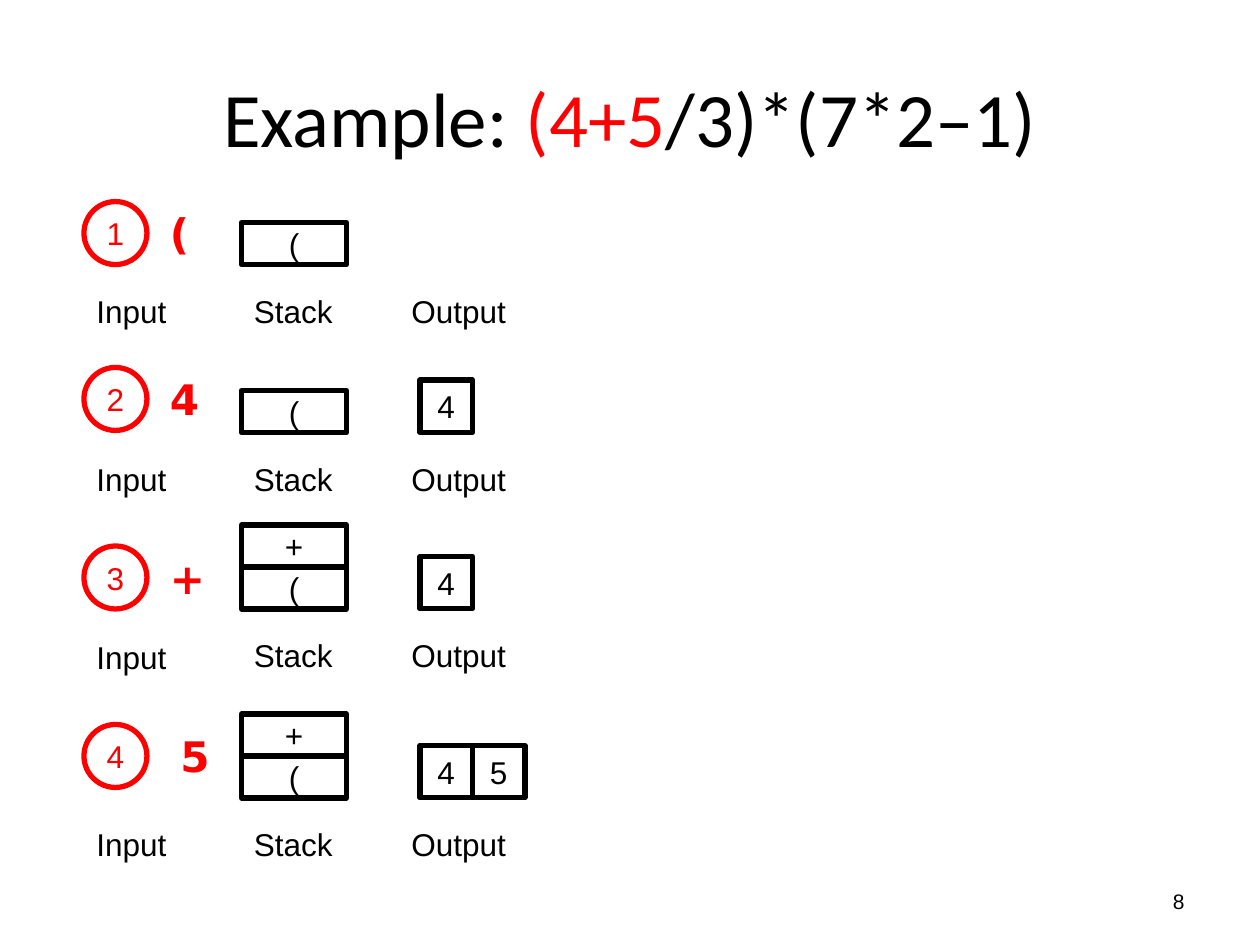
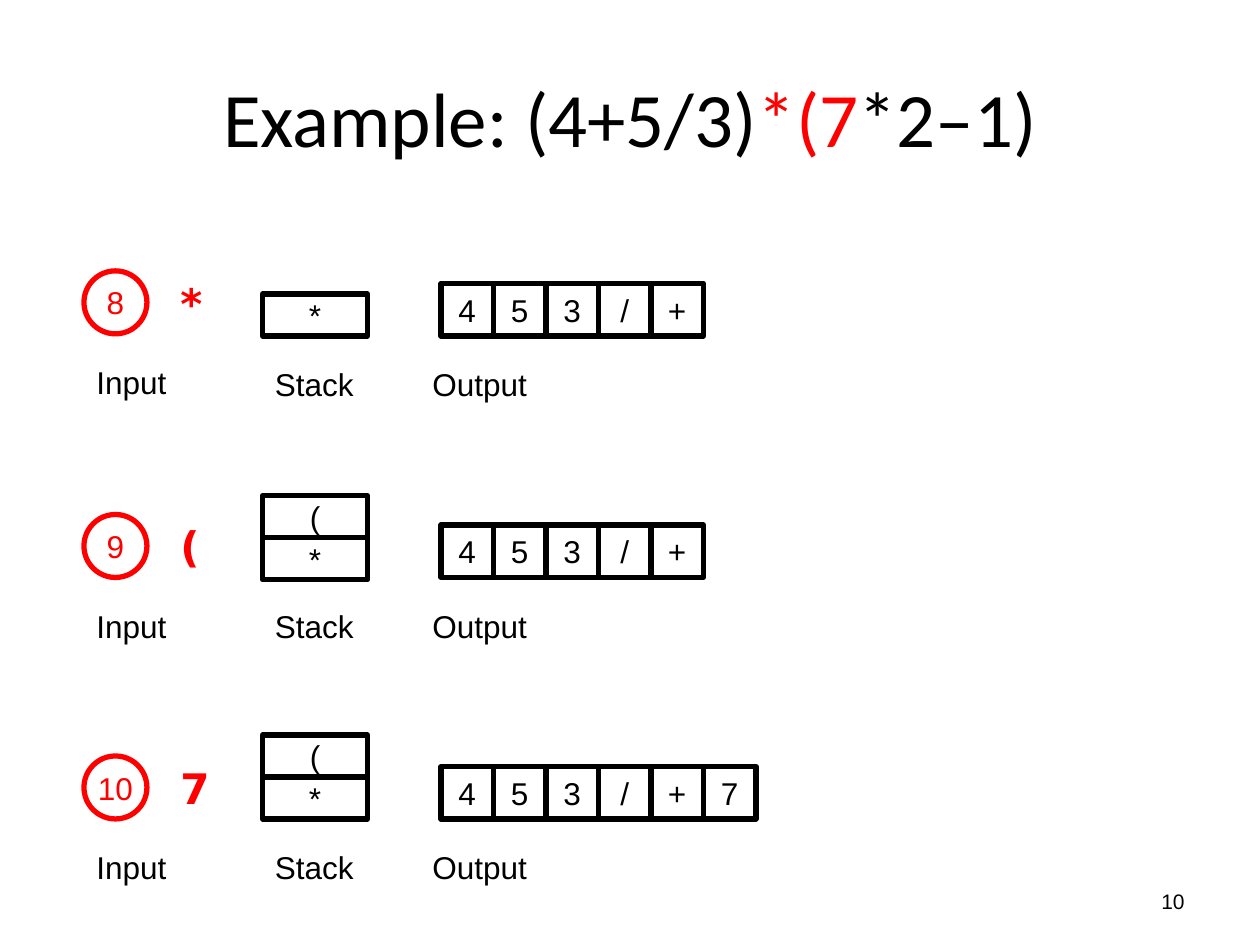
import pptx
import pptx.util
from pptx.dml.color import RGBColor
from pptx.enum.shapes import MSO_SHAPE
from pptx.enum.text import MSO_ANCHOR, PP_ALIGN

BLACK = RGBColor(0, 0, 0)
RED = RGBColor(255, 0, 0)
WHITE = RGBColor(255, 255, 255)

# Content: title runs, then one dict per step; the stack is listed from bottom to top.
# Vertical places are px: circle top, stack and output bottoms, label tops.
SLIDES = [
    {
        "number": "8",
        "title": [("Example: ", BLACK), ("(4+5", RED), ("/3)*(7*2–1)", BLACK)],
        "stack_left": 230,
        "steps": [
            {"step": "1", "input": "(", "stack": "(", "output": "", "input_left": 150,
             "circle": 192, "stack_bottom": 252, "output_bottom": 252, "label": 272, "input_label": 272},
            {"step": "2", "input": "4", "stack": "(", "output": "4", "input_left": 150,
             "circle": 350, "stack_bottom": 412, "output_bottom": 412, "label": 432, "input_label": 432},
            {"step": "3", "input": "+", "stack": "(+", "output": "4", "input_left": 150,
             "circle": 520, "stack_bottom": 580, "output_bottom": 580, "label": 600, "input_label": 602},
            {"step": "4", "input": "5", "stack": "(+", "output": "45", "input_left": 160,
             "circle": 690, "stack_bottom": 760, "output_bottom": 760, "label": 780, "input_label": 780},
        ],
    },
    {
        "number": "10",
        "title": [("Example: (4+5/3)", BLACK), ("*(7", RED), ("*2–1)", BLACK)],
        "stack_left": 250,
        "steps": [
            {"step": "8", "input": "*", "stack": "*", "output": "453/+", "input_left": 160,
             "circle": 258, "stack_bottom": 320, "output_bottom": 320, "label": 342, "input_label": 340},
            {"step": "9", "input": "(", "stack": "*(", "output": "453/+", "input_left": 160,
             "circle": 490, "stack_bottom": 552, "output_bottom": 550, "label": 572, "input_label": 572},
            {"step": "10", "input": "7", "stack": "*(", "output": "453/+7", "input_left": 160,
             "circle": 720, "stack_bottom": 780, "output_bottom": 780, "label": 802, "input_label": 802},
        ],
    },
]

# Shared measures in px, 120 to the inch
PX = 914400 // 120
CIRCLE_LEFT, CIRCLE_SIZE = 80, 60
STACK_WIDTH, STACK_HEIGHT = 100, 40
OUTPUT_SIZE = 50
OUTPUT_LABEL_SHIFT, OUTPUT_SHIFT = 150, 170
LABEL_WIDTH, LABEL_HEIGHT = 120, 48


def emu(*lengths):
    return [length * PX for length in lengths]


def write(shape, runs, size, font="Arial", align=PP_ALIGN.LEFT, bold=False):
    paragraph = shape.text_frame.paragraphs[0]
    paragraph.alignment = align
    for text, color in runs:
        run = paragraph.add_run()
        run.text = text
        run.font.name = font
        run.font.size = pptx.util.Pt(size)
        run.font.bold = bold
        run.font.color.rgb = color


def add_text(slide, place, runs, size, anchor=MSO_ANCHOR.TOP, **style):
    text_box = slide.shapes.add_textbox(*emu(*place))
    text_box.text_frame.word_wrap = True
    text_box.text_frame.vertical_anchor = anchor
    write(text_box, runs, size, **style)


def add_cell(slide, place, text, color=BLACK, kind=MSO_SHAPE.RECTANGLE):
    shape = slide.shapes.add_shape(kind, *emu(*place))
    shape.shadow.inherit = False
    shape.fill.solid()
    shape.fill.fore_color.rgb = WHITE
    shape.line.color.rgb = color
    shape.line.width = pptx.util.Pt(3)
    shape.text_frame.word_wrap = False
    shape.text_frame.vertical_anchor = MSO_ANCHOR.MIDDLE
    write(shape, [(text, color)], 18, align=PP_ALIGN.CENTER)


def add_step(slide, step, stack_left):
    # Step number and current input
    add_cell(slide, (CIRCLE_LEFT, step["circle"], CIRCLE_SIZE, CIRCLE_SIZE),
             step["step"], RED, MSO_SHAPE.OVAL)
    add_text(slide, (step["input_left"], step["circle"], 50, 60),
             [(step["input"], RED)], 24, font="DejaVu Sans", bold=True)

    # Stack grows upwards, output grows to the right
    for level, symbol in enumerate(step["stack"], start=1):
        top = step["stack_bottom"] - level * STACK_HEIGHT
        add_cell(slide, (stack_left, top, STACK_WIDTH, STACK_HEIGHT), symbol)
    for index, symbol in enumerate(step["output"]):
        left = stack_left + OUTPUT_SHIFT + index * OUTPUT_SIZE
        add_cell(slide, (left, step["output_bottom"] - OUTPUT_SIZE, OUTPUT_SIZE, OUTPUT_SIZE), symbol)

    # Captions
    for caption, left, top in (
        ("Input", CIRCLE_LEFT, step["input_label"]),
        ("Stack", stack_left, step["label"]),
        ("Output", stack_left + OUTPUT_LABEL_SHIFT, step["label"]),
    ):
        add_text(slide, (left, top, LABEL_WIDTH, LABEL_HEIGHT), [(caption, BLACK)], 18)


def main():
    presentation = pptx.Presentation()
    presentation.slide_width, presentation.slide_height = emu(1200, 900)
    for content in SLIDES:
        slide = presentation.slides.add_slide(presentation.slide_layouts[6])
        add_text(slide, (60, 36, 1080, 150), content["title"], 44, MSO_ANCHOR.MIDDLE,
                 font="Calibri", align=PP_ALIGN.CENTER)
        add_text(slide, (860, 834, 280, 48), [(content["number"], BLACK)], 12,
                 MSO_ANCHOR.MIDDLE, align=PP_ALIGN.RIGHT)
        for step in content["steps"]:
            add_step(slide, step, content["stack_left"])
    presentation.save("out.pptx")


if __name__ == "__main__":
    main()
